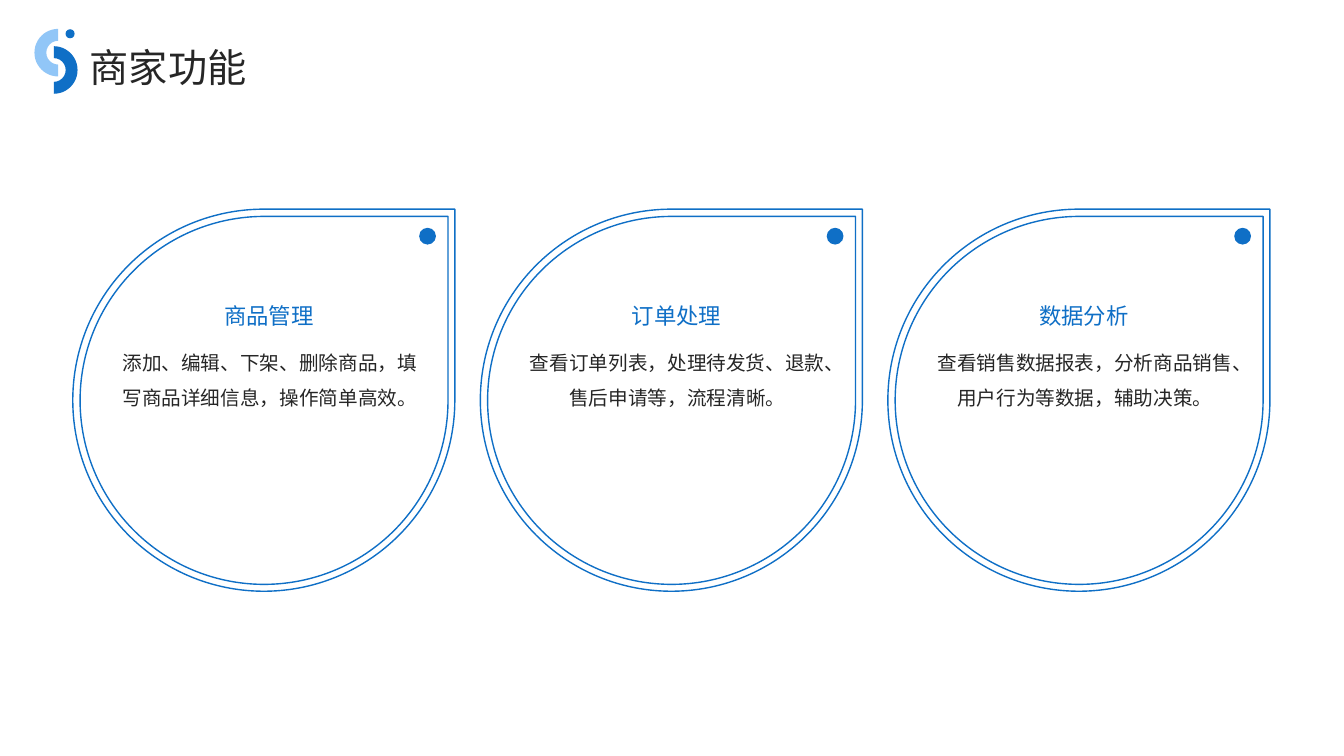
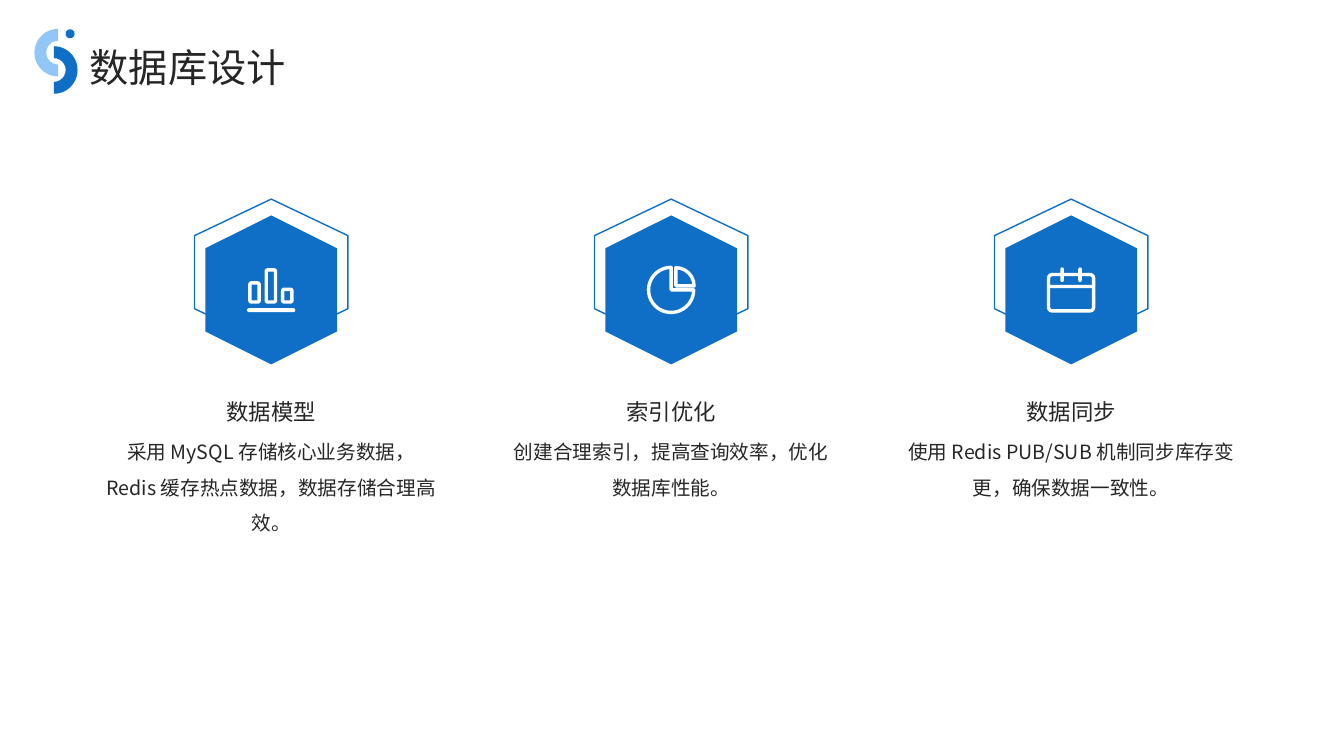
from pptx import Presentation
from pptx.dml.color import RGBColor
from pptx.enum.shapes import MSO_SHAPE as Shape
from pptx.enum.text import MSO_ANCHOR as Anchor, PP_ALIGN as Align
from pptx.oxml.ns import qn
from pptx.util import Pt
from lxml import etree

FONT = "Noto Sans CJK SC"
BLUE, LIGHT_BLUE, INK, WHITE = "0F6FC6", "91C6F7", "262626", "FFFFFF"
ICON_LINE = 2.4

MERCHANT_TITLE = "商家功能"
MERCHANT_FEATURES = [
    ("商品管理", "添加、编辑、下架、删除商品，填写商品详细信息，操作简单高效。"),
    ("订单处理", "查看订单列表，处理待发货、退款、售后申请等，流程清晰。"),
    ("数据分析", "查看销售数据报表，分析商品销售、用户行为等数据，辅助决策。"),
]
DATABASE_TITLE = "数据库设计"
DATABASE_TOPICS = [
    ("数据模型", "采用 MySQL 存储核心业务数据，Redis 缓存热点数据，数据存储合理高效。", "bars"),
    ("索引优化", "创建合理索引，提高查询效率，优化数据库性能。", "pie"),
    ("数据同步", "使用 Redis PUB/SUB 机制同步库存变更，确保数据一致性。", "calendar"),
]

# Icon parts: preset, left, top, width, height from the badge centre, outlined, adjustments
ICONS = {
    "bars": [
        (Shape.ROUNDED_RECTANGLE, -15.2, -5, 6.6, 13.6, True, [0.15]),
        (Shape.ROUNDED_RECTANGLE, -3.5, -14.3, 6.6, 22.9, True, [0.15]),
        (Shape.ROUNDED_RECTANGLE, 8.2, -0.4, 6.6, 9, True, [0.15]),
        (Shape.ROUNDED_RECTANGLE, -17.2, 13, 34.4, 2.8, False, [0.5]),
    ],
    "pie": [
        (Shape.PIE, -16.1, -16.1, 32.2, 32.2, True, [0, 162]),
        (Shape.PIE, -9.6, -15.9, 26, 26, True, [162, 0]),
    ],
    "calendar": [
        (Shape.ROUNDED_RECTANGLE, -16.1, -11, 32.2, 26, True, [0.1]),
        (Shape.RECTANGLE, -16.1, -3.6, 32.2, 2.4, False, []),
        (Shape.ROUNDED_RECTANGLE, -7.7, -16.1, 2.6, 10.4, False, [0.5]),
        (Shape.ROUNDED_RECTANGLE, 5.1, -16.1, 2.6, 10.4, False, [0.5]),
    ],
}


def color(value):
    return RGBColor.from_string(value)


def add_shape(shapes, preset, left, top, width, height, fill=None, line=None,
              weight=1, rotation=0, adjustments=()):
    shape = shapes.add_shape(preset, Pt(left), Pt(top), Pt(width), Pt(height))
    shape.shadow.inherit = False
    shape.rotation = rotation
    for index, value in enumerate(adjustments):
        shape.adjustments[index] = value
    if fill:
        shape.fill.solid()
        shape.fill.fore_color.rgb = color(fill)
    else:
        shape.fill.background()
    if line:
        shape.line.color.rgb = color(line)
        shape.line.width = Pt(weight)
    else:
        shape.line.fill.background()
    return shape


def add_text(slide, text, left, top, width, height, size, ink=INK,
             align=Align.CENTER, anchor=Anchor.TOP, spacing=1.3):
    frame = slide.shapes.add_textbox(Pt(left), Pt(top), Pt(width), Pt(height)).text_frame
    frame.word_wrap = True
    frame.vertical_anchor = anchor
    frame.margin_left = frame.margin_right = frame.margin_top = frame.margin_bottom = 0
    paragraph = frame.paragraphs[0]
    paragraph.alignment = align
    paragraph.line_spacing = spacing
    run = paragraph.add_run()
    run.text = text
    run.font.size = Pt(size)
    run.font.color.rgb = color(ink)
    run.font.name = FONT
    etree.SubElement(run.font._element, qn("a:ea"), typeface=FONT)


def add_titled_slide(presentation, title):
    slide = presentation.slides.add_slide(presentation.slide_layouts[6])
    add_text(slide, title, 64.2, 21, 817, 42.5, 28, align=Align.LEFT)
    add_shape(slide.shapes, Shape.BLOCK_ARC, 24.6, 20.6, 34, 34, LIGHT_BLUE, rotation=270)
    add_shape(slide.shapes, Shape.BLOCK_ARC, 21.4, 33, 34, 34, BLUE, rotation=90)
    add_shape(slide.shapes, Shape.OVAL, 46.8, 20.9, 6.5, 6.5, BLUE)
    return slide


def add_feature(slide, left, heading, body):
    top = 149.4
    for inset, size in ((0, 272.9), (5.2, 262.8)):
        add_shape(slide.shapes, Shape.TEAR, left + inset, top + inset, size, size, WHITE, BLUE)
    add_shape(slide.shapes, Shape.OVAL, left + 247.4, 162.7, 12, 12, BLUE)
    add_text(slide, heading, left + 32.4, 182.9, 215.3, 51.8, 16, BLUE, anchor=Anchor.BOTTOM)
    add_text(slide, body, left + 32.4, 241.9, 216.7, 144.7, 14, spacing=1.5)


def add_badge(slide, center, icon):
    shapes = slide.shapes.add_group_shape().shapes
    middle = 207.1
    for hexagon_middle, width, height, fill, line in (
            (194.4, 104.4, 109.6, None, BLUE), (middle, 106.4, 94.2, BLUE, None)):
        add_shape(shapes, Shape.HEXAGON, center - width / 2, hexagon_middle - height / 2,
                  width, height, fill, line, rotation=90)
    for preset, left, top, width, height, outlined, adjustments in ICONS[icon]:
        add_shape(shapes, preset, center + left, middle + top, width, height,
                  None if outlined else WHITE, WHITE if outlined else None,
                  ICON_LINE, adjustments=adjustments)


def add_topic(slide, center, heading, body, icon):
    width = 236.9
    add_badge(slide, center, icon)
    add_text(slide, heading, center - width / 2, 267.1, width, 36.7, 16, anchor=Anchor.BOTTOM)
    add_text(slide, body, center - width / 2, 306, width, 123, 14, spacing=1.5)


def main():
    presentation = Presentation()
    presentation.slide_width, presentation.slide_height = Pt(960), Pt(540)

    slide = add_titled_slide(presentation, MERCHANT_TITLE)
    for index, feature in enumerate(MERCHANT_FEATURES):
        add_feature(slide, 52 + index * 291.1, *feature)

    slide = add_titled_slide(presentation, DATABASE_TITLE)
    for index, topic in enumerate(DATABASE_TOPICS):
        add_topic(slide, 193.7 + index * 285.7, *topic)

    presentation.save("out.pptx")


if __name__ == "__main__":
    main()
